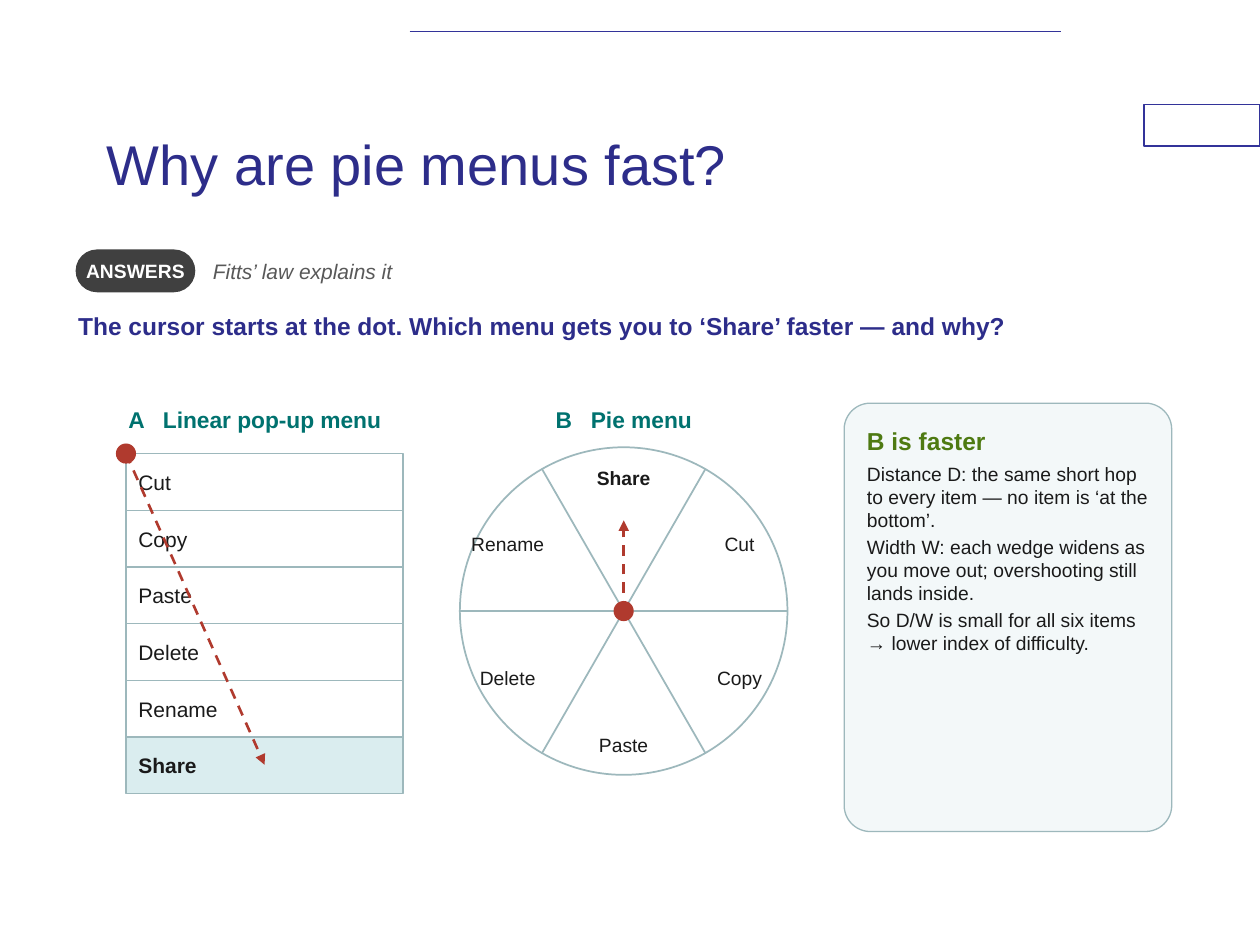
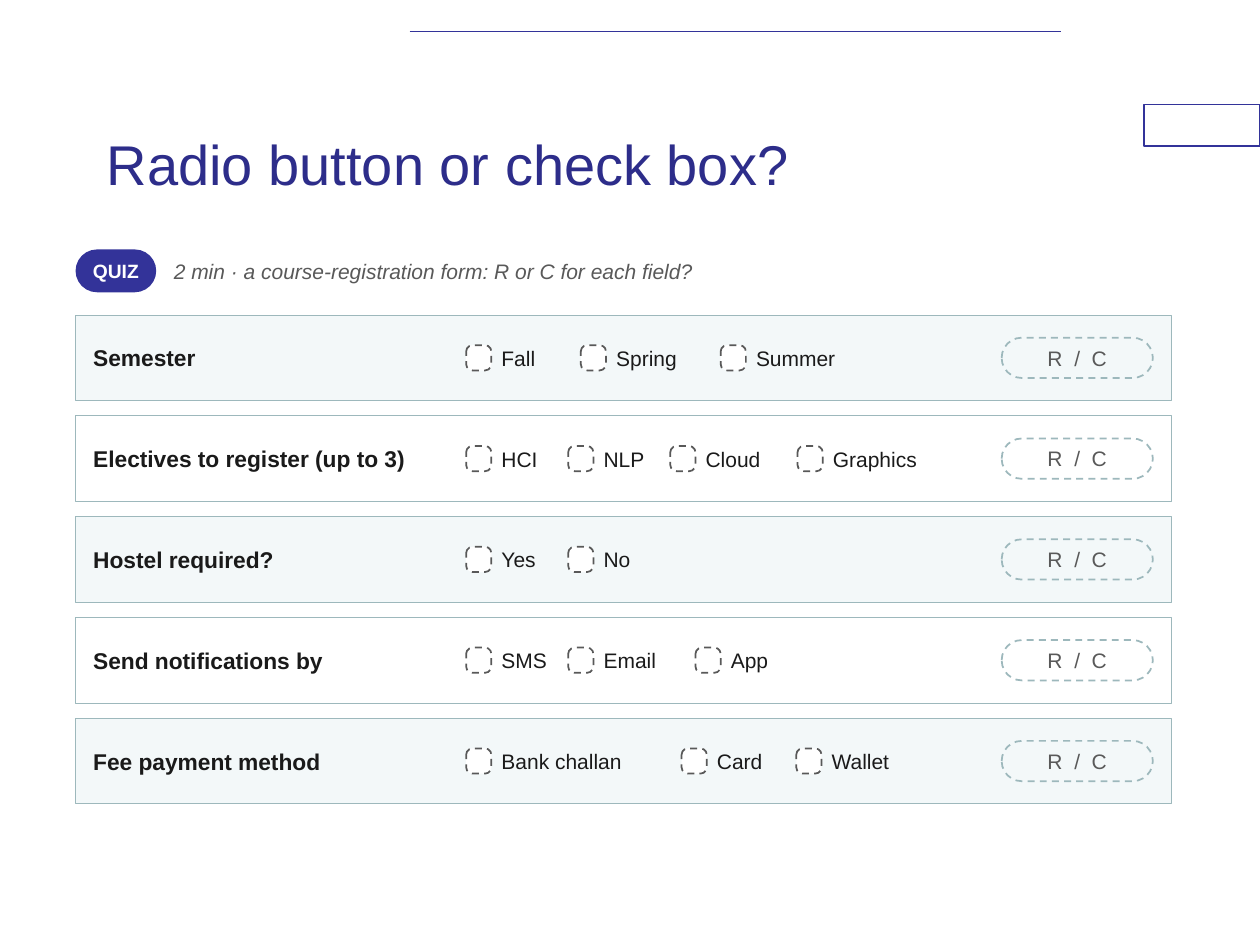
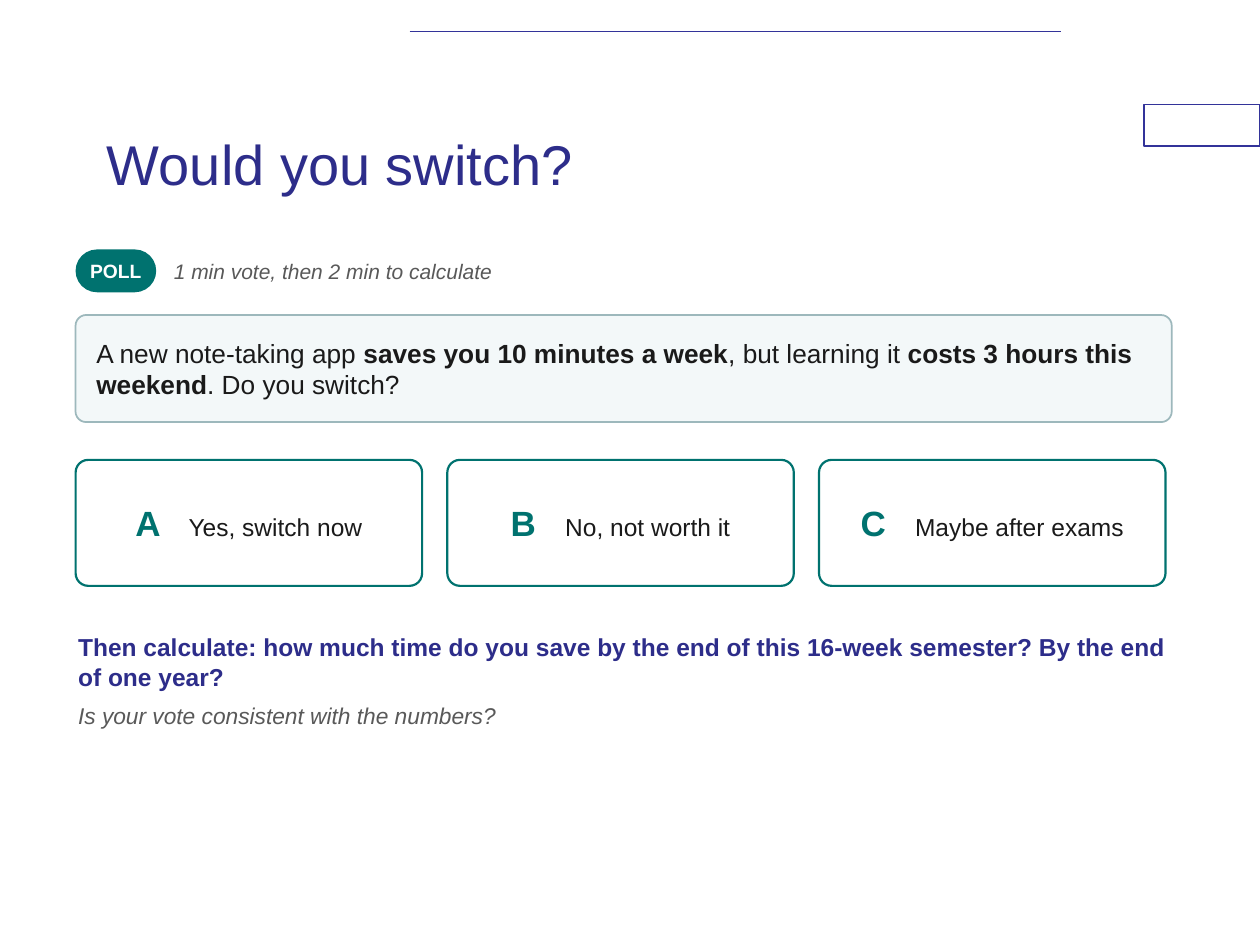
from math import cos, radians, sin

from lxml.etree import SubElement
from pptx import Presentation
from pptx.dml.color import RGBColor
from pptx.enum.dml import MSO_LINE
from pptx.enum.shapes import MSO_CONNECTOR, MSO_SHAPE
from pptx.enum.text import MSO_ANCHOR, PP_ALIGN
from pptx.oxml.ns import qn
from pptx.util import Pt

PX = 9144
FONT = "Arial"
NAVY, BLUE, TEAL, GREEN, RED = "2D2D8A", "333399", "00726F", "4E7A12", "B03A2E"
INK, GREY, DARK, EDGE = "1A1A1A", "595959", "404040", "9DB8BC"
WHITE, PALE, HIGHLIGHT = "FFFFFF", "F3F8F9", "DAEDEF"
RECT, ROUND, OVAL = MSO_SHAPE.RECTANGLE, MSO_SHAPE.ROUNDED_RECTANGLE, MSO_SHAPE.OVAL
LEFT, CENTER = PP_ALIGN.LEFT, PP_ALIGN.CENTER
TOP, MIDDLE = MSO_ANCHOR.TOP, MSO_ANCHOR.MIDDLE


def add_box(s, kind, x, y, w, h, paragraphs=(), fill=None, line=None, weight=1,
            dash=False, adj=None, inset=2, align=LEFT, anchor=MIDDLE):
    at = [v * PX for v in (x, y, w, h)]
    if kind is None:
        sp = s.shapes.add_textbox(*at)
    else:
        sp = s.shapes.add_shape(kind, *at)
        sp.shadow.inherit = False
        if adj is not None:
            sp.adjustments[0] = adj
        if fill:
            sp.fill.solid()
            sp.fill.fore_color.rgb = RGBColor.from_string(fill)
        else:
            sp.fill.background()
        if line:
            sp.line.color.rgb = RGBColor.from_string(line)
            sp.line.width = Pt(weight)
            if dash:
                sp.line.dash_style = MSO_LINE.DASH
        else:
            sp.line.fill.background()
    tf = sp.text_frame
    tf.word_wrap = True
    tf.vertical_anchor = anchor
    tf.margin_left = tf.margin_right = tf.margin_top = tf.margin_bottom = inset * PX
    for i, runs in enumerate(paragraphs):
        p = tf.add_paragraph() if i else tf.paragraphs[0]
        p.alignment = align
        for text, size, color, style, *spacing in runs:
            r = p.add_run()
            r.text = text
            r.font.name = FONT
            r.font.size = Pt(size)
            r.font.color.rgb = RGBColor.from_string(color)
            r.font.bold = style == "b"
            r.font.italic = style == "i"
            if spacing:
                r.font._element.set("spc", str(spacing[0]))
    return tf


def add_line(s, x1, y1, x2, y2, color, weight=1, arrow=False):
    cx = s.shapes.add_connector(MSO_CONNECTOR.STRAIGHT, x1 * PX, y1 * PX, x2 * PX, y2 * PX)
    cx.line.color.rgb = RGBColor.from_string(color)
    cx.line.width = Pt(weight)
    if arrow:
        cx.line.dash_style = MSO_LINE.DASH
        SubElement(cx.line._get_or_add_ln(), qn("a:tailEnd"), type="triangle")
    SubElement(cx._element.spPr, qn("a:effectLst"))


prs = Presentation()
prs.slide_width = 1000 * PX
prs.slide_height = 750 * PX

headers = [
    ("Why are pie menus fast?", "ANSWERS", 95, DARK, "Fitts’ law explains it"),
    ("Radio button or check box?", "QUIZ", 64, BLUE,
     "2 min · a course-registration form: R or C for each field?"),
    ("Would you switch?", "POLL", 64, TEAL, "1 min vote, then 2 min to calculate"),
]
for title, tag, tag_w, tag_fill, hint in headers:
    s = prs.slides.add_slide(prs.slide_layouts[6])
    add_box(s, RECT, 908, 83, 92, 33, fill=WHITE, line=BLUE, weight=0.75)
    add_line(s, 325, 25, 842, 25, BLUE)
    add_box(s, None, 75, 67, 750, 125, [[(title, 32, NAVY, "")]], inset=10)
    add_box(s, ROUND, 60, 198, tag_w, 34, [[(tag, 11, WHITE, "b")]],
            fill=tag_fill, adj=0.5, inset=3, align=CENTER)
    add_box(s, None, 72 + tag_w, 198, 600, 34, [[(hint, 12, GREY, "i")]])

menus, quiz, poll = prs.slides

s = menus
question = "The cursor starts at the dot. Which menu gets you to ‘Share’ faster — and why?"
add_box(s, None, 60, 245, 870, 45, [[(question, 14, NAVY, "b")]], anchor=TOP)

add_box(s, None, 100, 320, 240, 30,
        [[("A ", 13, TEAL, "b", 360), ("Linear pop-up menu", 13, TEAL, "b")]], anchor=TOP)
for i, item in enumerate(["Cut", "Copy", "Paste", "Delete", "Rename", "Share"]):
    target = item == "Share"
    add_box(s, RECT, 100, 360 + 45 * i, 220, 45, [[(item, 12, INK, "b" if target else "")]],
            fill=HIGHLIGHT if target else WHITE, line=EDGE, weight=0.75, inset=10)
add_box(s, OVAL, 92, 352, 16, 16, fill=RED)
add_line(s, 100, 360, 210, 607, RED, 1.5, arrow=True)

cx, cy, radius, label_radius = 495, 485, 130, 106
add_box(s, None, cx - radius, 320, 2 * radius, 30,
        [[("B ", 13, TEAL, "b", 360), ("Pie menu", 13, TEAL, "b")]], align=CENTER, anchor=TOP)
add_box(s, OVAL, cx - radius, cy - radius, 2 * radius, 2 * radius, fill=WHITE, line=EDGE)
for angle in (0, 60, 120):
    dx, dy = round(radius * cos(radians(angle))), round(radius * sin(radians(angle)))
    add_line(s, cx - dx, cy - dy, cx + dx, cy + dy, EDGE)
for i, item in enumerate(["Cut", "Copy", "Paste", "Delete", "Rename", "Share"]):
    angle = radians(60 * i - 30)
    x, y = cx + round(label_radius * cos(angle)), cy + round(label_radius * sin(angle))
    add_box(s, None, x - 45, y - 15, 90, 30,
            [[(item, 11, INK, "b" if item == "Share" else "")]], align=CENTER)
add_box(s, OVAL, cx - 8, cy - 8, 16, 16, fill=RED)
add_line(s, cx, cy, cx, cy - 72, RED, 1.5, arrow=True)

reasons = [
    "Distance D: the same short hop to every item — no item is ‘at the bottom’.",
    "Width W: each wedge widens as you move out; overshooting still lands inside.",
    "So D/W is small for all six items → lower index of difficulty.",
]
tf = add_box(s, ROUND, 670, 320, 260, 340,
             [[("B is faster", 14, GREEN, "b")]] + [[(text, 11, INK, "")] for text in reasons],
             fill=PALE, line=EDGE, weight=0.75, adj=0.08, inset=12, anchor=TOP)
for p, gap in zip(tf.paragraphs, (4, 2, 2, 2)):
    p.space_after = Pt(gap)

s = quiz
fields = [
    ("Semester", ["Fall", "Spring", "Summer"]),
    ("Electives to register (up to 3)", ["HCI", "NLP", "Cloud", "Graphics"]),
    ("Hostel required?", ["Yes", "No"]),
    ("Send notifications by", ["SMS", "Email", "App"]),
    ("Fee payment method", ["Bank challan", "Card", "Wallet"]),
]
for i, (field, options) in enumerate(fields):
    y = 250 + 80 * i
    add_box(s, RECT, 60, y, 870, 68, fill=WHITE if i % 2 else PALE, line=EDGE, weight=0.5)
    add_box(s, None, 72, y, 290, 68, [[(field, 13, INK, "b")]])
    x = 370
    for option in options:
        add_box(s, ROUND, x, y + 24, 20, 20, fill=WHITE, line=GREY, dash=True, adj=0.25)
        add_box(s, None, x + 26, y, 105, 68, [[(option, 12, INK, "")]])
        x += 51 + 10 * len(option)
    add_box(s, ROUND, 795, y + 18, 120, 32, [[("R / C", 12, GREY, "", 167)]],
            line=EDGE, dash=True, adj=0.5, align=CENTER)

s = poll
scenario = [
    ("A new note-taking app ", 15, INK, ""),
    ("saves you 10 minutes a week", 15, INK, "b"),
    (", but learning it ", 15, INK, ""),
    ("costs 3 hours this weekend", 15, INK, "b"),
    (". Do you switch?", 15, INK, ""),
]
add_box(s, ROUND, 60, 250, 870, 85, [scenario], fill=PALE, line=EDGE, adj=0.1, inset=14)
votes = [("A", "Yes, switch now"), ("B", "No, not worth it"), ("C", "Maybe after exams")]
for i, (letter, vote) in enumerate(votes):
    add_box(s, ROUND, 60 + 295 * i, 365, 275, 100,
            [[(letter + " ", 20, TEAL, "b", 556), (vote, 14, INK, "")]],
            line=TEAL, weight=1.25, adj=0.1, inset=8, align=CENTER)
task = ("Then calculate: how much time do you save by the end of this 16-week semester? "
        "By the end of one year?")
tf = add_box(s, None, 60, 500, 870, 150,
             [[(task, 14, NAVY, "b")],
              [("Is your vote consistent with the numbers?", 13, GREY, "i")]], anchor=TOP)
tf.paragraphs[0].space_after = Pt(6)

prs.save("out.pptx")
